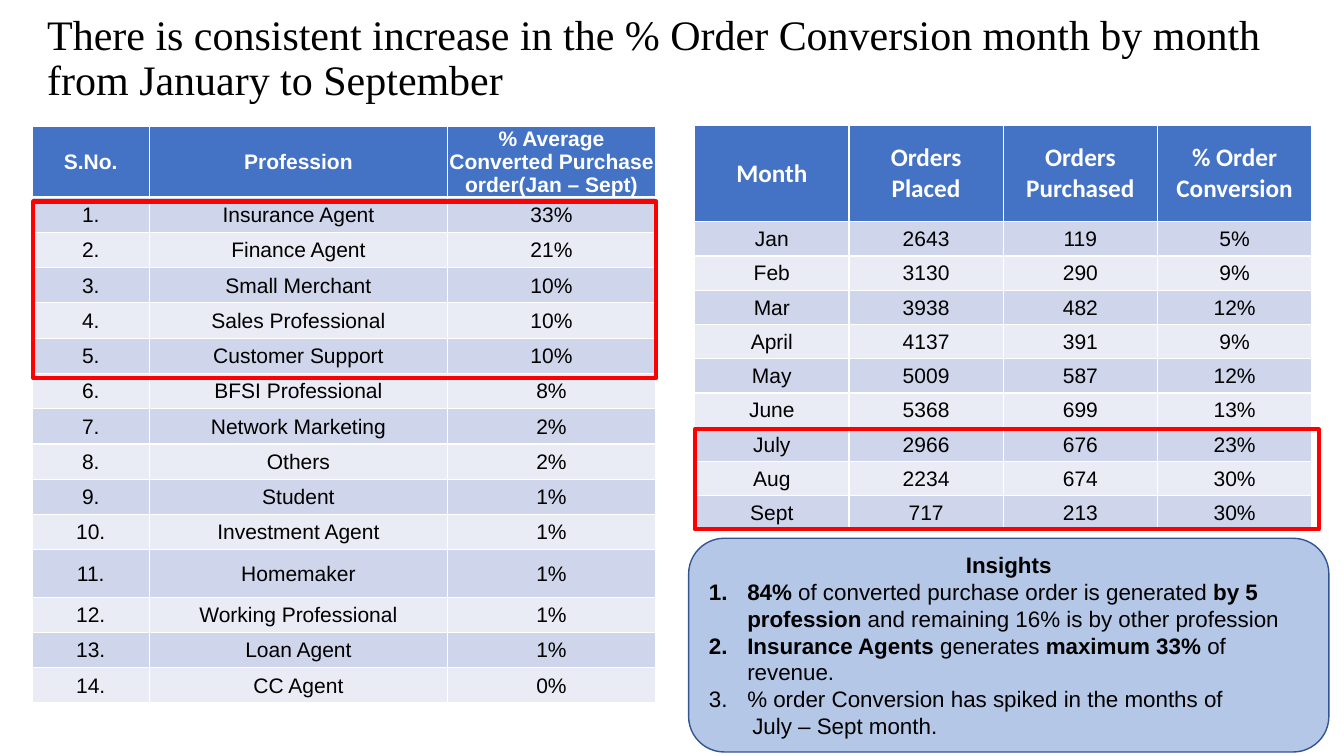
from lxml.etree import SubElement
from pptx import Presentation
from pptx.dml.color import RGBColor
from pptx.enum.shapes import MSO_SHAPE
from pptx.enum.text import MSO_ANCHOR, PP_ALIGN
from pptx.oxml.ns import qn
from pptx.util import Inches, Pt

COLORS = {
    "header": "4472C4", "band_dark": "CFD5EA", "band_light": "E9EBF5",
    "panel": "B4C7E7", "panel_line": "325491", "highlight": "FF0000",
    "white": "FFFFFF", "black": "000000",
}
TITLE = {"name": "Times New Roman", "size": Pt(30)}
HEADER = {"name": "Arial", "size": Pt(15), "bold": True}
MONTH_HEADER = {"name": "Calibri", "size": Pt(18), "bold": True}
BODY = {"name": "Arial", "size": Pt(15), "bold": False}
INSIGHT = {"name": "Arial", "size": Pt(16), "bold": False}
TIGHT = {"margin_left": Inches(0.01), "margin_right": Inches(0.01),
         "margin_top": Inches(0.01), "margin_bottom": 0}

PROFESSIONS = [
    ("Insurance Agent", "33%"), ("Finance Agent", "21%"),
    ("Small Merchant", "10%"), ("Sales Professional", "10%"),
    ("Customer Support", "10%"), ("BFSI Professional", "8%"),
    ("Network Marketing", "2%"), ("Others", "2%"), ("Student", "1%"),
    ("Investment Agent", "1%"), ("Homemaker", "1%"),
    ("Working Professional", "1%"), ("Loan Agent", "1%"), ("CC Agent", "0%"),
]
PROFESSION_ROWS = [("S.No.", "Profession",
                    "% Average Converted Purchase order(Jan – Sept)")]
PROFESSION_ROWS += [(f"{number}.", *row)
                    for number, row in enumerate(PROFESSIONS, 1)]
MONTH_ROWS = [
    ("Month", "Orders Placed", "Orders Purchased", "% Order Conversion"),
    ("Jan", "2643", "119", "5%"), ("Feb", "3130", "290", "9%"),
    ("Mar", "3938", "482", "12%"), ("April", "4137", "391", "9%"),
    ("May", "5009", "587", "12%"), ("June", "5368", "699", "13%"),
    ("July", "2966", "676", "23%"), ("Aug", "2234", "674", "30%"),
    ("Sept", "717", "213", "30%"),
]
# Each insight is a list of (text, bold) pieces
INSIGHTS = [
    [("84% ", True), ("of converted purchase order is generated ", False),
     ("by 5 profession ", True),
     ("and remaining 16% is by other profession", False)],
    [("Insurance Agents ", True), ("generates ", False),
     ("maximum 33% ", True), ("of revenue.", False)],
    [("% order Conversion has spiked in the months of", False)],
]


def rgb(name):
    return RGBColor.from_string(COLORS[name])


class SlideBuilder:
    def __init__(self, deck):
        self.page = deck.slides.add_slide(deck.slide_layouts[6])

    def apply(self, target, values):
        for key, value in values.items():
            setattr(target, key, value)

    def add_span(self, para, text, style, color="black"):
        span = para.add_run()
        span.text = text
        self.apply(span.font, style)
        span.font.color.rgb = rgb(color)

    def title(self, text, left, top, width, height):
        box = self.page.shapes.add_textbox(
            Inches(left), Inches(top), Inches(width), Inches(height))
        self.apply(box.text_frame, {"word_wrap": True,
                                    "vertical_anchor": MSO_ANCHOR.BOTTOM})
        para = box.text_frame.paragraphs[0]
        para.line_spacing = 0.9
        self.add_span(para, text, style=TITLE)

    def table(self, rows, left, top, widths, heights, header, header_margins):
        grid = self.page.shapes.add_table(
            len(rows), len(widths), Inches(left), Inches(top),
            Inches(sum(widths)), Inches(sum(heights))).table
        for column, width in zip(grid.columns, widths):
            column.width = Inches(width)
        for row, height in zip(grid.rows, heights):
            row.height = Inches(height)
        for r, row in enumerate(rows):
            band = "band_dark" if r % 2 else "band_light"
            fill, color, style, margins = (
                (band, "black", BODY, TIGHT) if r
                else ("header", "white", header, header_margins))
            for c, text in enumerate(row):
                cell = grid.cell(r, c)
                self.apply(cell, {"vertical_anchor": MSO_ANCHOR.MIDDLE,
                                  **margins})
                cell.fill.solid()
                cell.fill.fore_color.rgb = rgb(fill)
                para = cell.text_frame.paragraphs[0]
                para.alignment = PP_ALIGN.CENTER
                self.add_span(para, text, style, color)

    def shape(self, kind, left, top, width, height, line, weight, fill=None):
        box = self.page.shapes.add_shape(
            kind, Inches(left), Inches(top), Inches(width), Inches(height))
        box.shadow.inherit = False
        if fill:
            box.fill.solid()
            box.fill.fore_color.rgb = rgb(fill)
        else:
            box.fill.background()
        box.line.color.rgb = rgb(line)
        box.line.width = Pt(weight)
        return box

    def highlight(self, left, top, width, height):
        self.shape(MSO_SHAPE.RECTANGLE, left, top, width, height,
                   "highlight", 3)

    def indent(self, para, margin, first=0.0):
        para.alignment = PP_ALIGN.LEFT
        props = para._p.get_or_add_pPr()
        props.set("marL", str(Inches(margin)))
        props.set("indent", str(Inches(first)))
        return props

    def insights(self, heading, items, closing, left, top, width, height):
        box = self.shape(MSO_SHAPE.ROUNDED_RECTANGLE, left, top, width, height,
                         "panel_line", 1, "panel")
        frame = box.text_frame
        self.apply(frame, {"word_wrap": True,
                           "vertical_anchor": MSO_ANCHOR.MIDDLE})
        para = frame.paragraphs[0]
        para.alignment = PP_ALIGN.CENTER
        self.add_span(para, heading, {**INSIGHT, "bold": True})
        for pieces in items:
            para = frame.add_paragraph()
            props = self.indent(para, 0.38, -0.38)
            SubElement(props, qn("a:buFont"), typeface="+mj-lt")
            SubElement(props, qn("a:buAutoNum"), type="arabicPeriod")
            for text, bold in pieces:
                self.add_span(para, text, {**INSIGHT, "bold": bold})
        para = frame.add_paragraph()
        self.indent(para, 0.43)
        self.add_span(para, closing, INSIGHT)


def main():
    deck = Presentation()
    deck.slide_width, deck.slide_height = Inches(13.33), Inches(7.5)
    slide = SlideBuilder(deck)

    # Tables
    heights = [0.68] + [0.35] * 14
    heights[11] = 0.47
    slide.table(PROFESSION_ROWS, 0.32, 1.25, [1.16, 2.96, 2.06], heights,
                HEADER, TIGHT)
    slide.table(MONTH_ROWS, 6.89, 1.24, [1.53] * 4, [0.96] + [0.34] * 9,
                MONTH_HEADER, {})

    # Insights panel
    slide.insights("Insights", INSIGHTS, "July – Sept month.",
                   6.83, 5.34, 6.35, 2.12)

    # Title and highlighted rows
    slide.highlight(0.33, 2, 6.18, 1.75)
    slide.title("There is consistent increase in the % Order Conversion month "
                "by month from January to September", 0.37, 0.37, 12.46, 0.72)
    slide.highlight(6.89, 4.26, 6.19, 0.99)

    deck.save("out.pptx")


if __name__ == "__main__":
    main()
